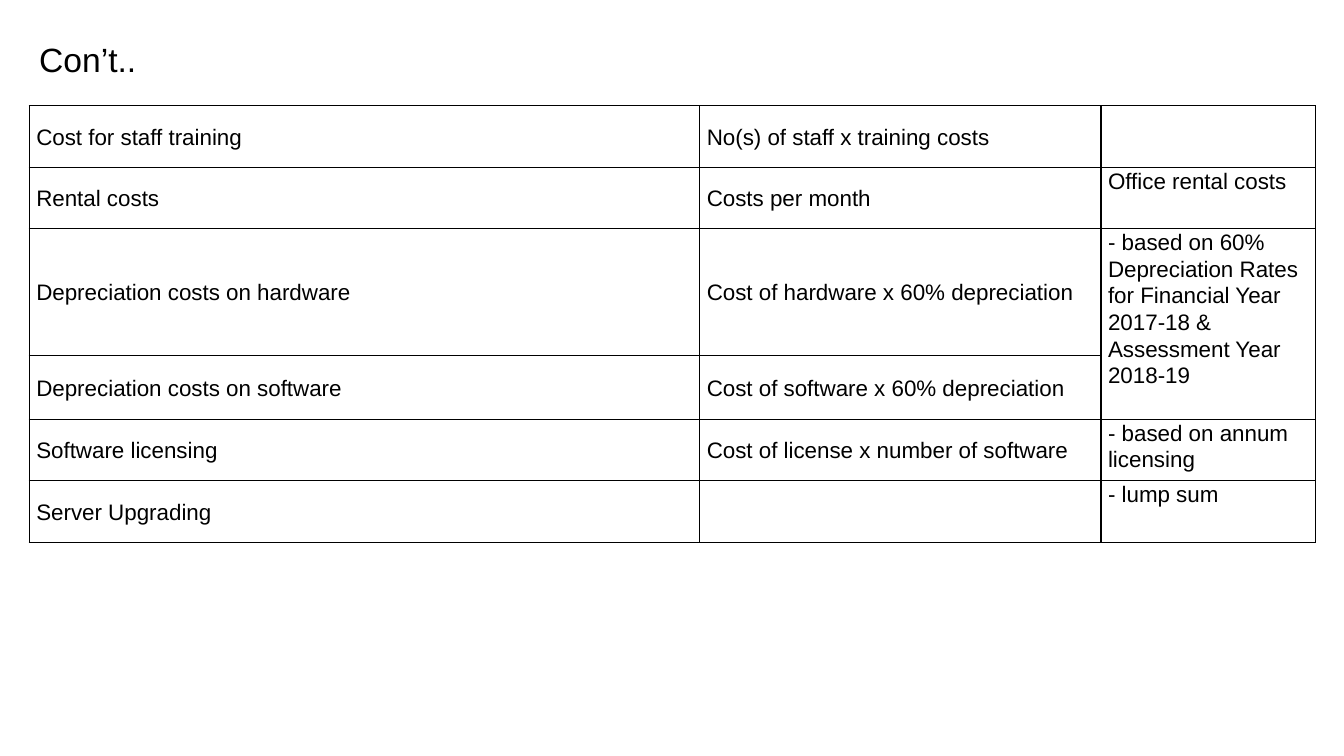
from lxml import etree
from pptx import Presentation
from pptx.dml.color import RGBColor
from pptx.enum.text import MSO_ANCHOR
from pptx.oxml.ns import qn
from pptx.util import Inches, Pt

TOP, MIDDLE = MSO_ANCHOR.TOP, MSO_ANCHOR.MIDDLE
COLOURS = {"ink": "000000"}
LEFT = 0.29
TABLE_TOP = 1.05
COLUMNS = [6.65, 3.98, 2.13]
ROWS = [0.61, 0.61, 1.26, 0.63, 0.61, 0.61]
CELL_FORMAT = {
    "margin_left": Inches(0.07),
    "margin_right": Inches(0.07),
    "margin_top": 0,
    "margin_bottom": 0,
}
COSTS = [
    ("Cost for staff training", "No(s) of staff x training costs", ""),
    ("Rental costs", "Costs per month", "Office rental costs"),
    ("Depreciation costs on hardware", "Cost of hardware x 60% depreciation",
     "- based on 60% Depreciation Rates for Financial Year 2017-18 & Assessment Year 2018-19"),
    ("Depreciation costs on software", "Cost of software x 60% depreciation", ""),
    ("Software licensing", "Cost of license x number of software", "- based on annum licensing"),
    ("Server Upgrading", "", "- lump sum"),
]


def write(para, text, size):
    para.text = text
    for name, value in {"name": "Arial", "size": Pt(size)}.items():
        setattr(para.font, name, value)
    para.font.color.rgb = RGBColor.from_string(COLOURS["ink"])


def add_borders(cell):
    properties = cell._tc.get_or_add_tcPr()
    for position, side in enumerate(("lnL", "lnR", "lnT", "lnB")):
        line = etree.Element(qn(f"a:{side}"), w=str(Pt(1)))
        fill = etree.SubElement(line, qn("a:solidFill"))
        etree.SubElement(fill, qn("a:srgbClr"), val=COLOURS["ink"])
        properties.insert(position, line)


def fill_cell(cell, text, anchor):
    for name, value in CELL_FORMAT.items():
        setattr(cell, name, value)
    cell.vertical_anchor = anchor
    cell.fill.background()
    add_borders(cell)
    para = cell.text_frame.paragraphs[0]
    para.line_spacing = 1.07
    write(para, text, 16)


def add_title(page, text):
    box = page.shapes.add_textbox(Inches(LEFT), Inches(0.34), Inches(1.77), Inches(0.5))
    box.text_frame.word_wrap = True
    write(box.text_frame.paragraphs[0], text, 24)


def add_cost_table(page):
    frame = page.shapes.add_table(
        len(ROWS), len(COLUMNS), Inches(LEFT), Inches(TABLE_TOP),
        Inches(sum(COLUMNS)), Inches(sum(ROWS)))
    table = frame.table
    table.first_row = table.horz_banding = False
    for column, width in zip(table.columns, COLUMNS):
        column.width = Inches(width)
    for row, height in zip(table.rows, ROWS):
        row.height = Inches(height)
    for row, texts in zip(table.rows, COSTS):
        for cell, text, anchor in zip(row.cells, texts, (MIDDLE, MIDDLE, TOP)):
            fill_cell(cell, text, anchor)
    table.cell(2, 2).merge(table.cell(3, 2))


def main():
    deck = Presentation()
    deck.slide_width, deck.slide_height = Inches(13.33), Inches(7.5)
    page = deck.slides.add_slide(deck.slide_layouts[6])
    add_cost_table(page)
    add_title(page, "Con’t..")
    deck.save("out.pptx")


if __name__ == "__main__":
    main()
